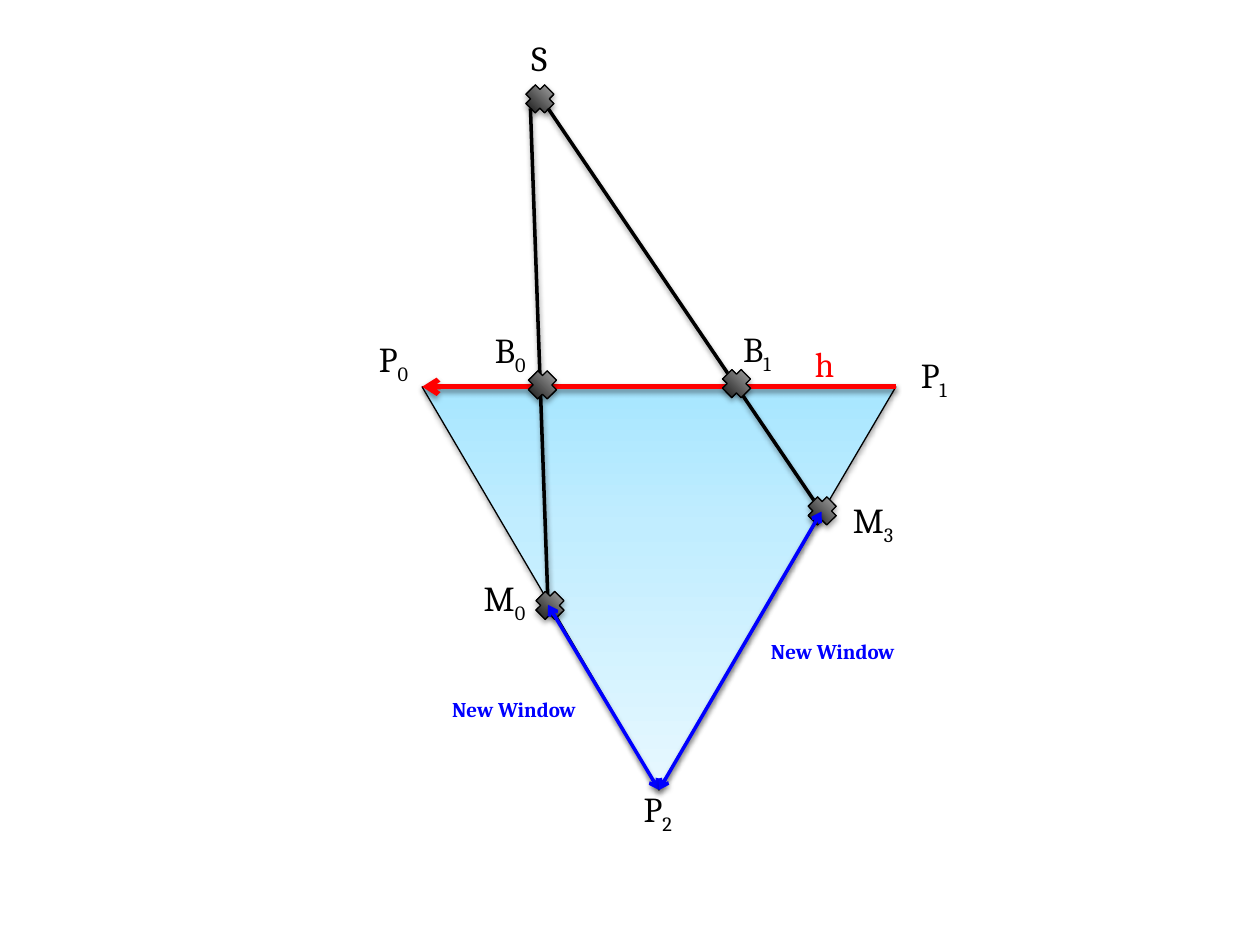
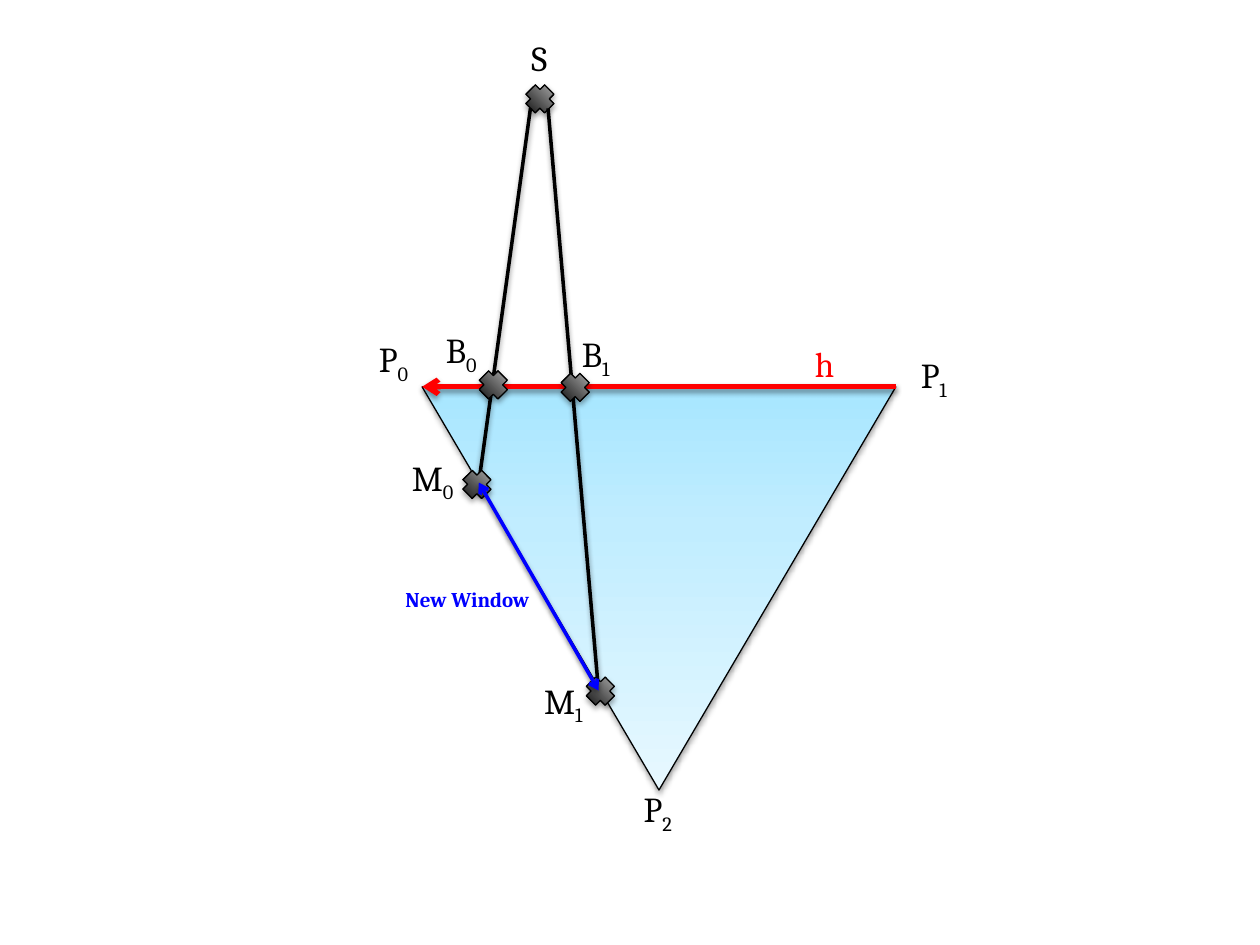
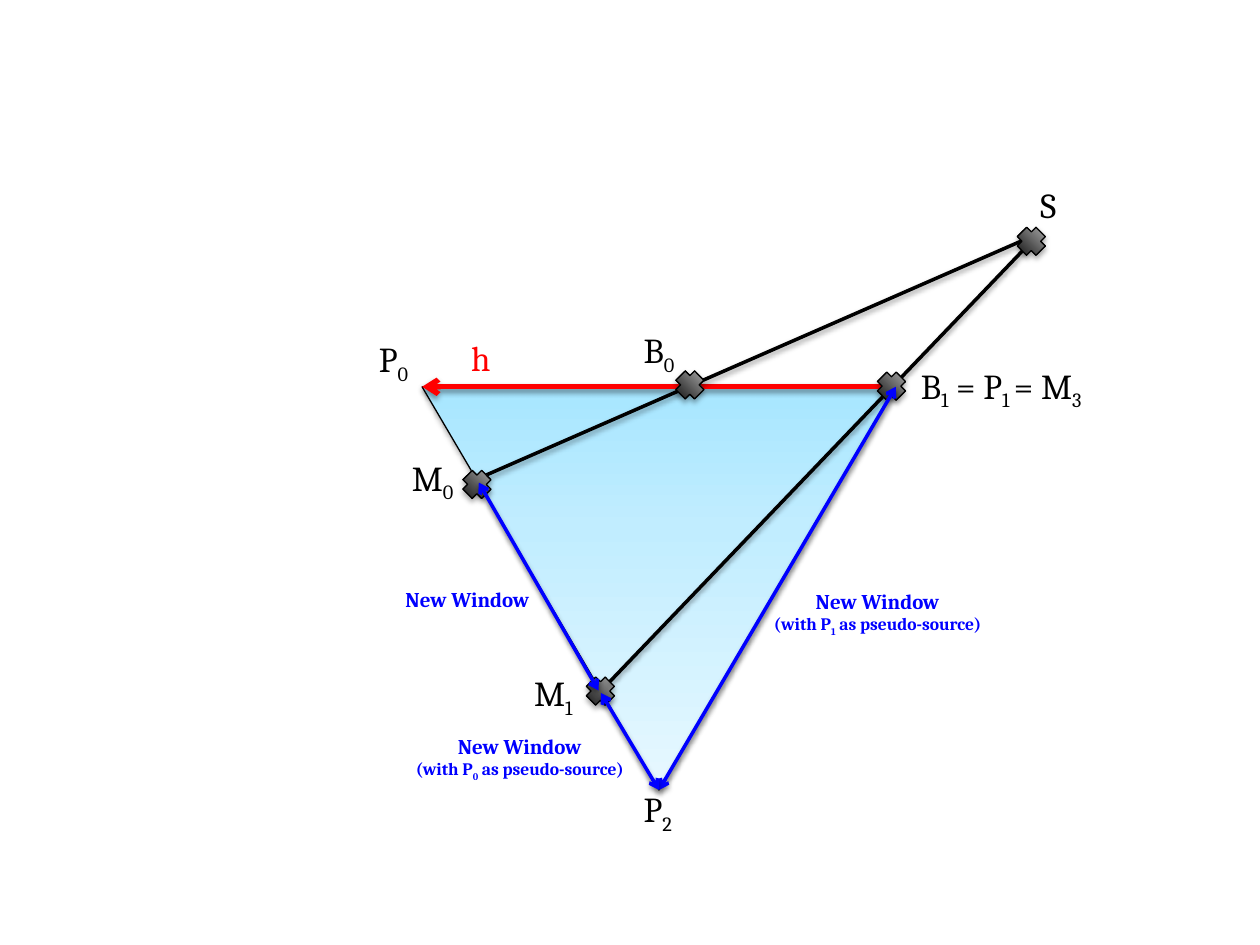
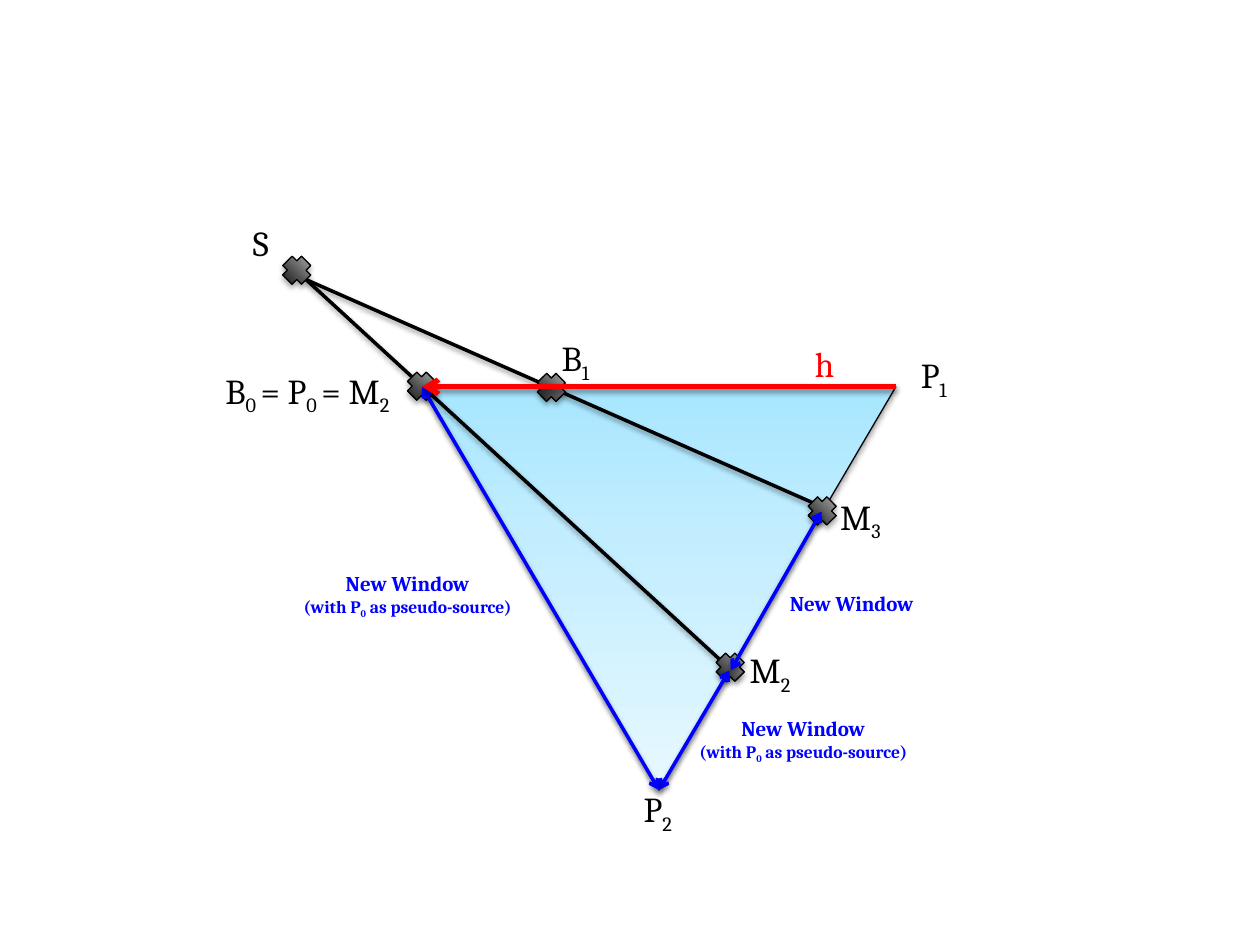
import dataclasses
import typing

import lxml.etree
import pptx
import pptx.dml.color
import pptx.enum.shapes
import pptx.enum.text
import pptx.oxml.ns
import pptx.util

Inches = pptx.util.Inches
Point = tuple[float, float]
Stops = list[tuple[int, str]]

BLACK, RED, BLUE = "000000", "FF0000", "0000FF"
LABEL_FONT = {"name": "Cambria", "size": pptx.util.Pt(20)}
CAPTION_FONT = {"name": "Cambria", "size": pptx.util.Pt(12), "bold": True}
SOURCE_FONT = {**CAPTION_FONT, "size": pptx.util.Pt(10)}
FACE_STOPS = [(0, "A7E6FF"), (35, "C1EDFF"), (100, "E7F8FF")]
MARKER_STOPS = [(0, BLACK), (100, "BDBDBD")]
MARKER_SIZE = 0.21


@dataclasses.dataclass(frozen=True)
class Label:
    """A point name; braces enclose subscripts."""
    text: str
    left: float
    top: float
    width: float = 0.57
    color: str = BLACK


@dataclasses.dataclass(frozen=True)
class Caption:
    """A "New Window" note, optionally naming its pseudo-source."""
    left: float
    top: float
    source: str = ""


@dataclasses.dataclass(frozen=True)
class Marker:
    left: float
    top: float


@dataclasses.dataclass(frozen=True)
class Line:
    start: Point
    end: Point
    color: str = BLACK
    width: float = 2
    arrows: tuple[str, ...] = ()


@dataclasses.dataclass(frozen=True)
class Face:
    left: float
    top: float
    width: float
    height: float


def rgb(color: str) -> pptx.dml.color.RGBColor:
    return pptx.dml.color.RGBColor.from_string(color)


def sub_element(parent: typing.Any, tag: str, **attributes: typing.Any) -> typing.Any:
    return lxml.etree.SubElement(
        parent, pptx.oxml.ns.qn(f"a:{tag}"),
        {key: str(value) for key, value in attributes.items()})


def add_color(parent: typing.Any, color: str) -> typing.Any:
    return sub_element(parent, "srgbClr", val=color)


def add_shadow(properties: typing.Any, opacity: int, distance: float) -> None:
    effects = sub_element(properties, "effectLst")
    shadow = sub_element(
        effects, "outerShdw", blurRad=pptx.util.Pt(3.1), dist=pptx.util.Pt(distance),
        dir=90 * 60000, rotWithShape=0)
    sub_element(add_color(shadow, BLACK), "alpha", val=opacity * 1000)


def add_gradient(properties: typing.Any, stops: Stops) -> None:
    gradient = sub_element(properties, "gradFill", rotWithShape=1)
    stop_list = sub_element(gradient, "gsLst")
    for position, color in stops:
        add_color(sub_element(stop_list, "gs", pos=position * 1000), color)
    sub_element(gradient, "lin", ang=270 * 60000, scaled=0)


def add_solid(slide: typing.Any, preset: typing.Any, box: tuple[float, ...],
              rotation: float, stops: Stops, opacity: int, distance: float) -> None:
    solid = slide.shapes.add_shape(preset, *map(Inches, box))
    solid.rotation = rotation
    add_gradient(solid._element.spPr, stops)
    solid.line.color.rgb = rgb(BLACK)
    solid.line.width = pptx.util.Pt(0.75)
    add_shadow(solid._element.spPr, opacity, distance)


def draw_face(slide: typing.Any, face: Face) -> None:
    add_solid(slide, pptx.enum.shapes.MSO_SHAPE.ISOSCELES_TRIANGLE,
              dataclasses.astuple(face), 180, FACE_STOPS, 38, 1.6)


def draw_marker(slide: typing.Any, marker: Marker) -> None:
    add_solid(slide, pptx.enum.shapes.MSO_SHAPE.CROSS,
              (marker.left, marker.top, MARKER_SIZE, MARKER_SIZE),
              45.2, MARKER_STOPS, 35, 1.8)


def draw_line(slide: typing.Any, line: Line) -> None:
    connector = slide.shapes.add_connector(
        pptx.enum.shapes.MSO_CONNECTOR.STRAIGHT, *map(Inches, line.start + line.end))
    connector.line.color.rgb = rgb(line.color)
    connector.line.width = pptx.util.Pt(line.width)
    for arrow_end in line.arrows:
        sub_element(connector.line._get_or_add_ln(), arrow_end, type="arrow")
    add_shadow(connector._element.spPr, 38, 1.6)


def add_text_frame(slide: typing.Any, left: float, top: float, width: float,
                   height: float) -> typing.Any:
    frame = slide.shapes.add_textbox(*map(Inches, (left, top, width, height))).text_frame
    frame.word_wrap = True
    frame.auto_size = pptx.enum.text.MSO_AUTO_SIZE.SHAPE_TO_FIT_TEXT
    return frame


def write(paragraph: typing.Any, text: str, font: dict[str, typing.Any], color: str) -> None:
    """Write text into a paragraph, lowering the parts in braces."""
    for index, part in enumerate(text.replace("}", "{").split("{")):
        if not part:
            continue
        run = paragraph.add_run()
        run.text = part
        for attribute, value in font.items():
            setattr(run.font, attribute, value)
        run.font.color.rgb = rgb(color)
        if index % 2:
            run._r.get_or_add_rPr().set("baseline", "-25000")


def draw_label(slide: typing.Any, label: Label) -> None:
    frame = add_text_frame(slide, label.left, label.top, label.width, 0.44)
    frame.margin_right = 0
    write(frame.paragraphs[0], label.text, LABEL_FONT, label.color)


def draw_caption(slide: typing.Any, caption: Caption) -> None:
    size = (2.13, 0.47) if caption.source else (1.36, 0.3)
    frame = add_text_frame(slide, caption.left, caption.top, *size)
    write(frame.paragraphs[0], "New Window", CAPTION_FONT, BLUE)
    if caption.source:
        write(frame.add_paragraph(), f"(with {caption.source} as pseudo-source)",
              SOURCE_FONT, BLUE)
    for paragraph in frame.paragraphs:
        paragraph.alignment = pptx.enum.text.PP_ALIGN.CENTER


def window(start: Point, end: Point) -> Line:
    return Line(start, end, BLUE, arrows=("headEnd", "tailEnd"))


P0, P1, P2 = (3.35, 3.07), (7.11, 3.07), (5.23, 6.27)
M0_HIGH, M0_LOW, M1, M3 = (3.8, 3.83), (4.35, 4.8), (4.75, 5.48), (6.52, 4.06)
TOP_SOURCE_LEFT, TOP_SOURCE_RIGHT = (4.21, 0.86), (4.35, 0.86)
RIGHT_SOURCE, LEFT_SOURCE = (8.25, 1.85), (2.43, 2.22)

BASE = [Label("P{2}", 5.01, 6.2), Face(*P0, P1[0] - P0[0], P2[1] - P0[1])]
H_ARROW = Line(P1, P0, RED, 3, ("tailEnd",))
P0_AND_H = [Label("P{0}", 2.91, 2.63), H_ARROW]
P1_AND_H_NAME = [Label("P{1}", 7.21, 2.76), Label("h", 6.37, 2.67, color=RED)]
TOP_SOURCE = [Marker(4.18, 0.68), Label("S", 4.12, 0.24, 0.3)]
UPPER_LEFT_WINDOW = [
    Caption(3.03, 4.61), Label("M{0}", 3.17, 3.57, 0.53), Marker(3.68, 3.74)]
M1_MARKER, M3_MARKER = Marker(4.66, 5.38), Marker(6.42, 3.95)

SLIDES = [
    [
        *BASE, *P0_AND_H, *P1_AND_H_NAME, *TOP_SOURCE,
        Label("B{0}", 3.83, 2.56, 0.53), Label("B{1}", 5.8, 2.55, 0.49),
        Line(TOP_SOURCE_LEFT, M0_LOW), Line(TOP_SOURCE_RIGHT, M3),
        Marker(4.2, 2.95), Marker(5.74, 2.94),
        Caption(3.4, 5.48), Caption(5.93, 5.02),
        Label("M{0}", 3.74, 4.53, 0.53), Marker(4.26, 4.7), window(M0_LOW, P2),
        Label("M{3}", 6.67, 3.91, 0.53), M3_MARKER, window(M3, P2),
    ],
    [
        *BASE, *P0_AND_H, *P1_AND_H_NAME, *TOP_SOURCE,
        Label("B{0}", 3.44, 2.56, 0.53), Label("B{1}", 4.52, 2.59, 0.49),
        Line(TOP_SOURCE_LEFT, M0_HIGH), Line(TOP_SOURCE_RIGHT, M1),
        Marker(3.81, 2.95), Marker(4.46, 2.97),
        *UPPER_LEFT_WINDOW,
        Label("M{1}", 4.22, 5.34, 0.53), M1_MARKER, window(M0_HIGH, M1),
    ],
    [
        *BASE, *P0_AND_H,
        Label("B{1} = P{1 }= M{3}", 7.21, 2.84, 1.89),
        Label("h", 3.64, 2.62, color=RED),
        Label("S", 8.16, 1.41, 0.3), Label("B{0}", 5.01, 2.56, 0.53),
        Line(RIGHT_SOURCE, (3.86, 3.77)), Marker(5.37, 2.95),
        *UPPER_LEFT_WINDOW,
        Label("M{1}", 4.14, 5.28, 0.63), M1_MARKER, window(M0_HIGH, M1),
        Line(RIGHT_SOURCE, (4.84, 5.41)),
        Marker(8.08, 1.81), Marker(6.97, 2.96),
        window(P1, P2), window((4.77, 5.5), P2),
        Caption(5.9, 4.62, "P{1}"), Caption(3.06, 5.77, "P{0}"),
    ],
    [
        *BASE, Label("B{0 }= P{0 }= M{2}", 1.69, 2.88, 1.66), *P1_AND_H_NAME,
        Marker(2.25, 2.04), Label("S", 1.91, 1.71, 0.3),
        Label("B{1}", 4.36, 2.62, 0.53),
        Line(LEFT_SOURCE, (5.86, 5.37)), Line(LEFT_SOURCE, (6.45, 3.99)),
        Marker(4.27, 2.97), Caption(6.08, 4.64),
        Label("M{3}", 6.57, 3.88, 0.53), M3_MARKER,
        Label(" M{2}", 5.79, 5.1, 0.67), Marker(5.69, 5.19),
        window(M3, (5.8, 5.32)), window(P2, (5.79, 5.32)),
        Caption(5.31, 5.63, "P{0}"), Caption(2.17, 4.48, "P{0}"),
        Marker(3.24, 2.96), window(P2, P0), H_ARROW,
    ],
]

DRAWERS = {Label: draw_label, Caption: draw_caption, Marker: draw_marker,
           Line: draw_line, Face: draw_face}


def main() -> None:
    presentation = pptx.Presentation()
    presentation.slide_width = Inches(10)
    presentation.slide_height = Inches(7.5)
    for parts in SLIDES:
        slide = presentation.slides.add_slide(presentation.slide_layouts[6])
        for part in parts:
            DRAWERS[type(part)](slide, part)
    presentation.save("out.pptx")


if __name__ == "__main__":
    main()
